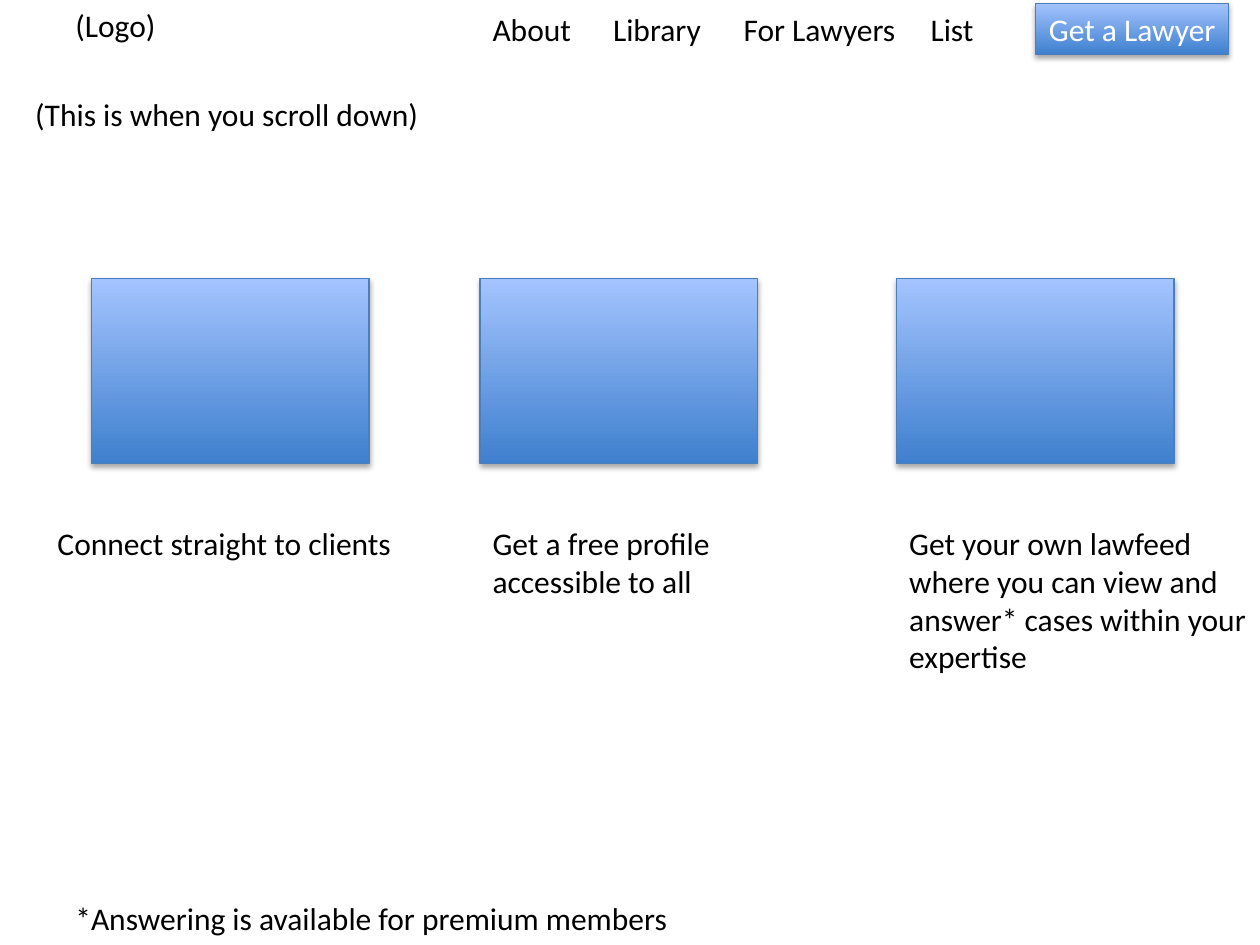
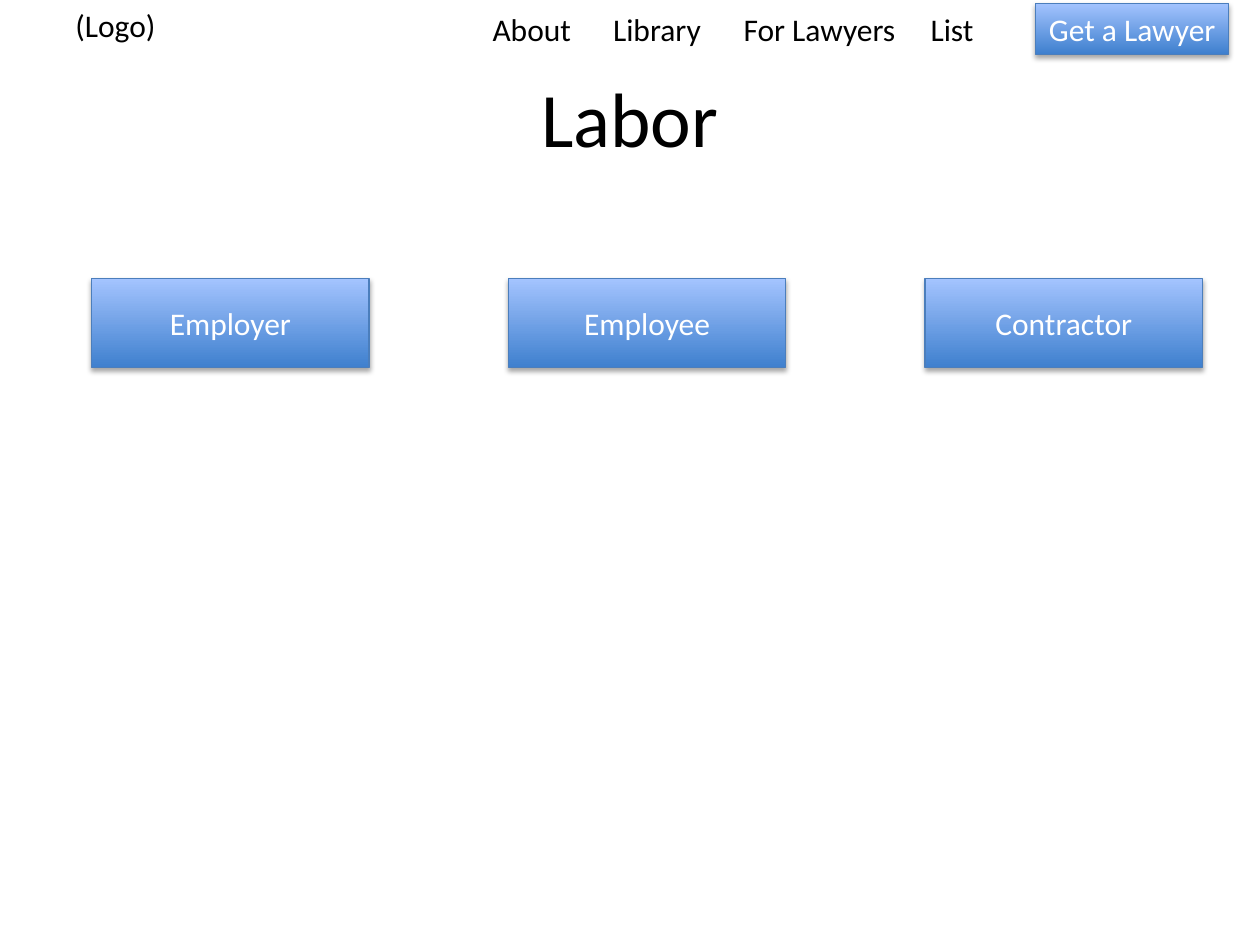
from lxml import etree
from pptx import Presentation
from pptx.dml.color import RGBColor
from pptx.enum.shapes import MSO_SHAPE
from pptx.enum.text import MSO_ANCHOR, PP_ALIGN
from pptx.oxml.ns import qn
from pptx.util import Cm, Pt

RECTANGLE = MSO_SHAPE.RECTANGLE
MIDDLE = MSO_ANCHOR.MIDDLE
LEFT, CENTER = PP_ALIGN.LEFT, PP_ALIGN.CENTER
FONT = "Calibri"
COLORS = {
    "text": "000000",
    "button_text": "FFFFFF",
    "button_dark": "3F80CE",
    "button_light": "A4C4FF",
    "button_line": "4B7EBC",
    "shadow": "000000",
}
PAGE_WIDTH, PAGE_HEIGHT = 25.4, 19.05
HEADER_BOX = (1.27, 0, 23.5, 1.8)
TITLE_BOX = (1.27, 0.76, 22.86, 3.18)
ROW_LEFT, ROW_TOP, CARD_WIDTH = 1.85, 5.61, 5.59


def color(name):
    return RGBColor.from_string(COLORS[name])


def place(box):
    return [Cm(length) for length in box]


def write_lines(frame, lines, size=18, color_name="text", align=LEFT):
    for index, line in enumerate(lines):
        para = frame.paragraphs[0] if index == 0 else frame.add_paragraph()
        para.alignment = align
        span = para.add_run()
        span.text = line
        span.font.name = FONT
        span.font.size = Pt(size)
        span.font.color.rgb = color(color_name)


def add_label(shapes, box, lines):
    label = shapes.add_textbox(*place(box))
    frame = label.text_frame
    frame.word_wrap = True
    frame.margin_right = 0
    write_lines(frame, lines)
    return label


def add_shadow(shape):
    shape.shadow.inherit = False
    effects = shape._element.spPr.find(qn("a:effectLst"))
    shadow = etree.SubElement(
        effects, qn("a:outerShdw"), blurRad=str(Pt(3.1)), dist=str(Pt(1.8)),
        dir="5400000", rotWithShape="0")
    tone = etree.SubElement(shadow, qn("a:srgbClr"), val=COLORS["shadow"])
    etree.SubElement(tone, qn("a:alpha"), val="35000")


def add_button(shapes, box, caption=None):
    button = shapes.add_shape(RECTANGLE, *place(box))
    button.fill.gradient()
    button.fill.gradient_angle = 90
    for stop, name in zip(button.fill.gradient_stops, ("button_dark", "button_light")):
        stop.color.rgb = color(name)
    button.fill.gradient_stops[0].position = 0
    button.fill.gradient_stops[1].position = 1
    button.line.color.rgb = color("button_line")
    button.line.width = Pt(0.75)
    add_shadow(button)
    if caption:
        frame = button.text_frame
        frame.margin_left = frame.margin_right = Cm(0.1)
        frame.vertical_anchor = MIDDLE
        write_lines(frame, [caption], color_name="button_text", align=CENTER)


def add_header(page, box):
    left, top, width, height = box
    shapes = page.shapes.add_group_shape().shapes
    add_label(shapes, (left, top, 3.07, height), ["(Logo)"])
    menu = add_label(shapes, (left + 8.41, top + 0.08, 10.34, 1.02),
                     ["About\tLibrary\tFor Lawyers\tList"])
    tabs = etree.SubElement(menu.text_frame.paragraphs[0]._p.get_or_add_pPr(),
                            qn("a:tabLst"))
    for position in (2.43, 5.06, 8.83):
        etree.SubElement(tabs, qn("a:tab"), pos=str(Cm(position)), algn="l")
    button_width = 3.89
    add_button(shapes, (left + width - button_width, top + 0.07, button_width, 1.03),
               "Get a Lawyer")


def add_title(page, box, text):
    title = page.shapes.title
    title.left, title.top, title.width, title.height = place(box)
    title.text_frame.vertical_anchor = MIDDLE
    write_lines(title.text_frame, [text], size=44, align=CENTER)


def add_benefit(page, box, lines, label_shift=0, label_width=7.4):
    left, top, width, height = box
    add_button(page.shapes, box)
    add_label(page.shapes, (left + label_shift, top + height + 1.1,
                            label_width, 0.25 + 0.77 * len(lines)), lines)


def add_choices(page, box, captions):
    left, top, width, height = box
    step = (width - CARD_WIDTH) / (len(captions) - 1)
    for index, caption in enumerate(captions):
        add_button(page.shapes, (left + index * step, top, CARD_WIDTH, height), caption)


def build_benefits_page(deck):
    page = deck.slides.add_slide(deck.slide_layouts[6])
    add_header(page, HEADER_BOX)
    add_label(page.shapes, (0.46, 1.8, 8.4, 1.02), ["(This is when you scroll down)"])
    benefits = [
        (ROW_LEFT, ["Connect straight to clients"], -0.94),
        (9.68, ["Get a free profile", "accessible to all"], 0),
        (18.08, ["Get your own lawfeed", "where you can view and",
                 "answer* cases within your", "expertise"], 0),
    ]
    for left, lines, shift in benefits:
        add_benefit(page, (left, ROW_TOP, CARD_WIDTH, 3.73), lines, shift)
    add_label(page.shapes, (1.27, 18, 12.7, 1.02),
              ["*Answering is available for premium members"])


def build_topic_page(deck):
    page = deck.slides.add_slide(deck.slide_layouts[5])
    add_title(page, TITLE_BOX, "Labor")
    add_choices(page, (ROW_LEFT, ROW_TOP, 22.39, 1.8),
                ["Employer", "Employee", "Contractor"])
    add_header(page, HEADER_BOX)


deck = Presentation()
deck.slide_width, deck.slide_height = Cm(PAGE_WIDTH), Cm(PAGE_HEIGHT)
build_benefits_page(deck)
build_topic_page(deck)
deck.save("out.pptx")
